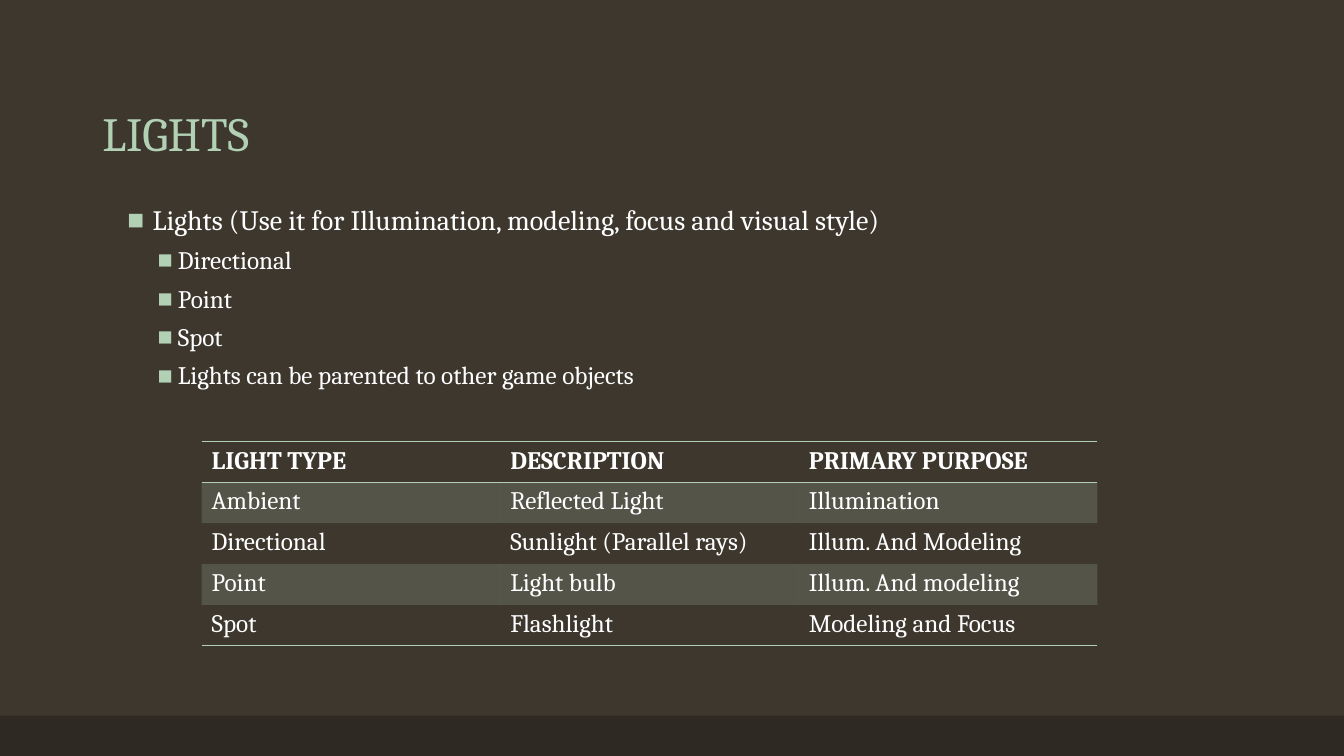
from lxml.etree import SubElement
from pptx import Presentation
from pptx.dml.color import RGBColor
from pptx.enum.shapes import MSO_SHAPE
from pptx.enum.text import MSO_ANCHOR
from pptx.oxml.ns import qn
from pptx.util import Pt

BROWN = RGBColor(0x3D, 0x37, 0x2E)
DARK = RGBColor(0x2E, 0x29, 0x23)
GREEN = RGBColor(0xB2, 0xD0, 0xB4)
WHITE = RGBColor(0xFF, 0xFF, 0xFF)
NO_STYLE = "{2D5ABB26-0587-4C30-8999-92F81FD0307C}"

BULLETS = [
    (1, "Lights (Use it for Illumination, modeling, focus and visual style)"),
    (2, "Directional"),
    (2, "Point"),
    (2, "Spot"),
    (2, "Lights can be parented to other game objects"),
]
# level: (text size, space before, left margin, hanging indent)
LEVELS = {1: (20, 10, 36, 18), 2: (18, 8, 54, 14.4)}

LIGHT_TYPES = [
    ("LIGHT TYPE", "DESCRIPTION", "PRIMARY PURPOSE"),
    ("Ambient", "Reflected Light", "Illumination"),
    ("Directional", "Sunlight (Parallel rays)", "Illum. And Modeling"),
    ("Point", "Light bulb", "Illum. And modeling"),
    ("Spot", "Flashlight", "Modeling and Focus"),
]


class Deck:
    font = "Cambria"

    def __init__(self, width, height):
        self.prs = Presentation()
        self.prs.slide_width, self.prs.slide_height = Pt(width), Pt(height)

    def slide(self, color):
        self.s = self.prs.slides.add_slide(self.prs.slide_layouts[6])
        fill = self.s.background.fill
        fill.solid()
        fill.fore_color.rgb = color

    def rect(self, x, y, w, h, color):
        sp = self.s.shapes.add_shape(MSO_SHAPE.RECTANGLE, Pt(x), Pt(y), Pt(w), Pt(h))
        sp.shadow.inherit = False
        sp.fill.solid()
        sp.fill.fore_color.rgb = color
        sp.line.fill.background()

    def run(self, p, text, size, color=WHITE, bold=False):
        r = p.add_run()
        r.text = text
        r.font.name, r.font.size, r.font.bold = self.font, Pt(size), bold
        r.font.color.rgb = color

    def box(self, x, y, w, h, anchor=MSO_ANCHOR.TOP):
        tf = self.s.shapes.add_textbox(Pt(x), Pt(y), Pt(w), Pt(h)).text_frame
        tf.word_wrap = True
        tf.vertical_anchor = anchor
        return tf

    def title(self, x, y, w, h, text):
        p = self.box(x, y, w, h, MSO_ANCHOR.BOTTOM).paragraphs[0]
        p.line_spacing = 0.9
        self.run(p, text, 34, GREEN)

    def bullets(self, x, y, w, h, items):
        tf = self.box(x, y, w, h)
        for i, (level, text) in enumerate(items):
            size, before, margin, hang = LEVELS[level]
            p = tf.add_paragraph() if i else tf.paragraphs[0]
            p.level = level - 1
            p.line_spacing, p.space_before = 0.9, Pt(before)
            pPr = p._p.get_or_add_pPr()
            pPr.set("marL", str(Pt(margin)))
            pPr.set("indent", str(-Pt(hang)))
            color = SubElement(pPr, qn("a:buClr"))
            SubElement(color, qn("a:srgbClr"), val=str(GREEN))
            SubElement(pPr, qn("a:buFont"), typeface="Arial")
            SubElement(pPr, qn("a:buChar"), char="■")
            self.run(p, text, size)

    def borders(self, cell, ruled):
        tcPr = cell._tc.get_or_add_tcPr()
        for side in "LRTB":
            ln = SubElement(tcPr, qn(f"a:ln{side}"), w=str(Pt(1)))
            if side in ruled:
                fill = SubElement(ln, qn("a:solidFill"))
                SubElement(fill, qn("a:srgbClr"), val=str(GREEN))
            else:
                SubElement(ln, qn("a:noFill"))

    def table(self, x, y, w, h, rows):
        last = len(rows) - 1
        tbl = self.s.shapes.add_table(len(rows), len(rows[0]),
                                      Pt(x), Pt(y), Pt(w), Pt(h)).table
        tbl.horz_banding = False
        tbl._tbl.tblPr.find(qn("a:tableStyleId")).text = NO_STYLE
        ruled = {0: "TB", 1: "T", last: "B"}
        for i, row in enumerate(rows):
            for j, text in enumerate(row):
                cell = tbl.cell(i, j)
                self.borders(cell, ruled.get(i, ""))
                if i % 2:
                    cell.fill.solid()
                    cell.fill.fore_color.rgb = GREEN
                    clr = cell._tc.tcPr.find(qn("a:solidFill")).find(qn("a:srgbClr"))
                    SubElement(clr, qn("a:alpha"), val="20000")
                else:
                    cell.fill.background()
                self.run(cell.text_frame.paragraphs[0], text, 18, bold=i == 0)


def main():
    deck = Deck(960, 540)
    deck.slide(BROWN)
    # Footer band
    deck.rect(0, 511.2, 960, 28.8, DARK)
    # Title and bullet list
    deck.title(66, 28.8, 828, 90, "LIGHTS")
    deck.bullets(66, 144, 828, 342.7, BULLETS)
    # Light types
    deck.table(144, 315.2, 640, 146, LIGHT_TYPES)
    deck.prs.save("out.pptx")


if __name__ == "__main__":
    main()
